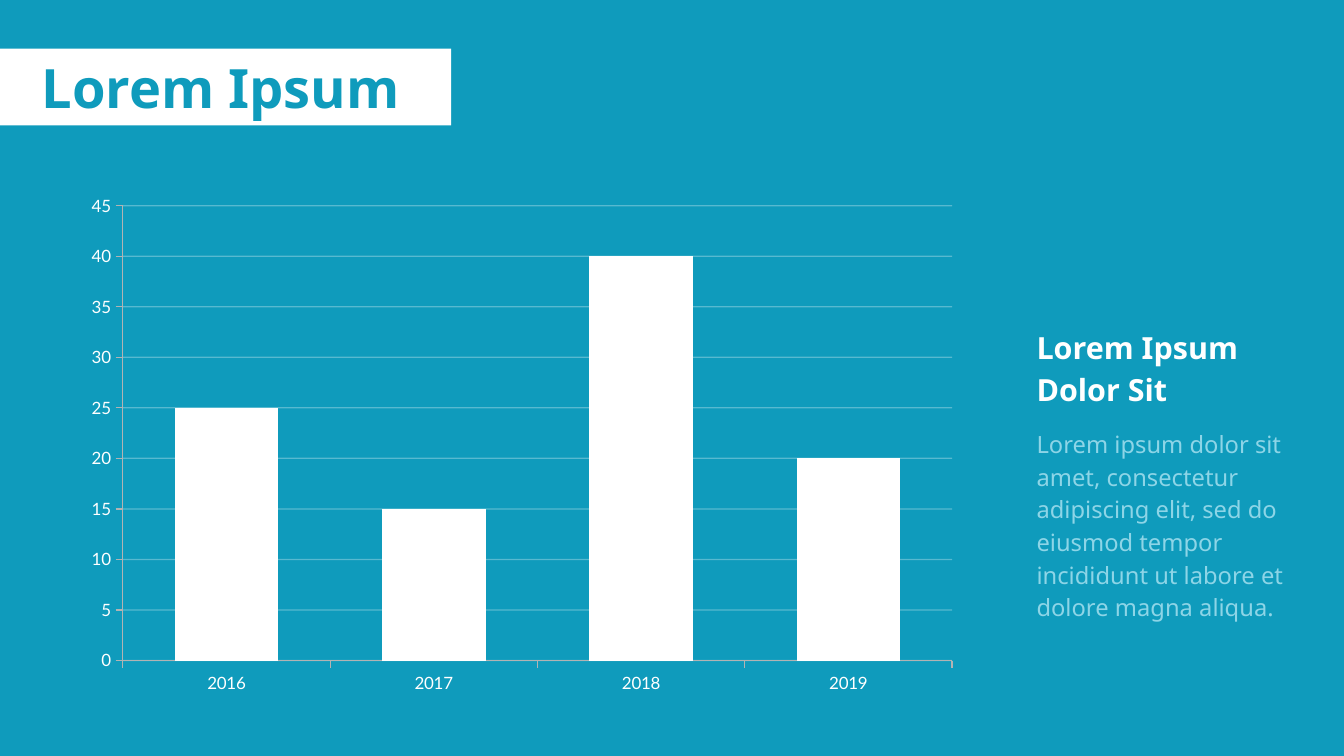
"""Build a slide with a title band, a column chart and a side note."""
from dataclasses import dataclass

from lxml import etree
from pptx import Presentation
from pptx import util as u
from pptx.chart.data import CategoryChartData
from pptx.dml.color import RGBColor
from pptx.enum import chart as ch, shapes, text
from pptx.oxml import ns

WIDE, HIGH = u.Inches(11.02), u.Inches(6.2)
TEAL = RGBColor(0x0F, 0x9B, 0xBC)
WHITE = RGBColor(0xFF, 0xFF, 0xFF)
PALE = RGBColor(0x8D, 0xD5, 0xE7)
GREY = RGBColor(0xB3, 0xB3, 0xB3)


@dataclass
class Box:
    """Place on the slide, in percent of its width and height."""
    left: float
    top: float
    width: float
    height: float

    def span(self) -> tuple:
        """Give the place in slide units."""
        return (u.Emu(round(WIDE * self.left / 100)),
                u.Emu(round(HIGH * self.top / 100)),
                u.Emu(round(WIDE * self.width / 100)),
                u.Emu(round(HIGH * self.height / 100)))


@dataclass
class Note:
    """Text with its place and look."""
    box: Box
    words: str
    font: dict
    color: RGBColor
    para: dict
    frame: dict


BAND = Box(0, 6.45, 33.58, 10.16)
PLOT = Box(5.54, 24.68, 66.7, 68.39)
INNER = {"x": 0.054, "y": 0.037, "w": 0.925, "h": 0.88}
SALES = {"2016": 25, "2017": 15, "2018": 40, "2019": 20}
LOOSE = {"line_spacing": 1.15}
FLUSH = {"margin_left": 0, "margin_right": 0, "margin_top": 0,
         "margin_bottom": 0, "vertical_anchor": text.MSO_ANCHOR.MIDDLE}
NOTES = [
    Note(Box(76.23, 41.94, 19.06, 14.19), "Lorem Ipsum Dolor Sit",
         {"size": u.Pt(18), "bold": True}, WHITE, LOOSE, {}),
    Note(Box(76.23, 55.48, 20.24, 34.84),
         "Lorem ipsum dolor sit amet, consectetur adipiscing elit, sed do "
         "eiusmod tempor incididunt ut labore et dolore magna aliqua.",
         {"size": u.Pt(14)}, PALE, LOOSE, {}),
    Note(Box(0, 5.48, 32.85, 11.94), "Lorem Ipsum",
         {"size": u.Pt(32), "bold": True}, TEAL,
         {"alignment": text.PP_ALIGN.CENTER}, FLUSH),
]


def apply(item, form: dict) -> None:
    """Set each named format value on an item."""
    for name, value in form.items():
        setattr(item, name, value)


def paint(fill, color: RGBColor) -> None:
    """Make a fill solid in one colour."""
    fill.solid()
    fill.fore_color.rgb = color


def add_note(slide, note: Note) -> None:
    """Write a note on the slide."""
    frame = slide.shapes.add_textbox(*note.box.span()).text_frame
    apply(frame, {"word_wrap": True, **note.frame})
    para = frame.paragraphs[0]
    apply(para, note.para)
    run = para.add_run()
    run.text = note.words
    apply(run.font, {"name": "Noto Sans", **note.font})
    run.font.color.rgb = note.color


def add_band(slide) -> None:
    """Draw the white band behind the title."""
    band = slide.shapes.add_shape(shapes.MSO_SHAPE.RECTANGLE, *BAND.span())
    band.shadow.inherit = False
    paint(band.fill, WHITE)
    band.line.fill.background()


def style_axis(axis) -> None:
    """Give an axis its ticks, labels and hairline."""
    axis.major_tick_mark = ch.XL_TICK_MARK.OUTSIDE
    axis.minor_tick_mark = ch.XL_TICK_MARK.NONE
    font = axis.tick_labels.font
    apply(font, {"name": "Lato", "size": u.Pt(10)})
    font.color.rgb = WHITE
    line = axis.format.line
    line.color.rgb = GREY
    line.width = 0


def fix_plot(chart) -> None:
    """Pin the inner plot area inside the chart."""
    area = chart.plots[0]._element.getparent()
    for old in area.findall(ns.qn("c:layout")):
        area.remove(old)
    layout = etree.Element(ns.qn("c:layout"))
    area.insert(0, layout)
    manual = etree.SubElement(layout, ns.qn("c:manualLayout"))
    marks = {"layoutTarget": "inner", "xMode": "edge", "yMode": "edge", **INNER}
    for tag, value in marks.items():
        etree.SubElement(manual, ns.qn("c:" + tag), val=str(value))


def add_columns(slide) -> None:
    """Add the column chart."""
    data = CategoryChartData()
    data.categories = list(SALES)
    data.add_series("Series 1", list(SALES.values()))
    chart = slide.shapes.add_chart(
        ch.XL_CHART_TYPE.COLUMN_CLUSTERED, *PLOT.span(), data).chart
    apply(chart, {"has_legend": False, "has_title": False})
    apply(chart.font, {"name": "Arial", "size": u.Pt(10)})
    plot = chart.plots[0]
    apply(plot, {"gap_width": 100, "vary_by_categories": False})
    paint(plot.series[0].format.fill, WHITE)
    style_axis(chart.category_axis)
    scale = chart.value_axis
    style_axis(scale)
    apply(scale, {"minimum_scale": 0, "maximum_scale": 45, "major_unit": 5,
                  "has_major_gridlines": True})
    grid = scale.major_gridlines
    grid.format.line.color.rgb = WHITE
    grid.format.line.width = 0
    for tone in scale._element.find(ns.qn("c:majorGridlines")).iter(
            ns.qn("a:srgbClr")):
        etree.SubElement(tone, ns.qn("a:alpha"), val="30000")
    fix_plot(chart)


def main() -> None:
    """Build and save the slide."""
    deck = Presentation()
    apply(deck, {"slide_width": WIDE, "slide_height": HIGH})
    slide = deck.slides.add_slide(deck.slide_layouts[6])
    paint(slide.background.fill, TEAL)
    add_band(slide)
    add_columns(slide)
    for note in NOTES:
        add_note(slide, note)
    deck.save("out.pptx")


if __name__ == "__main__":
    main()
